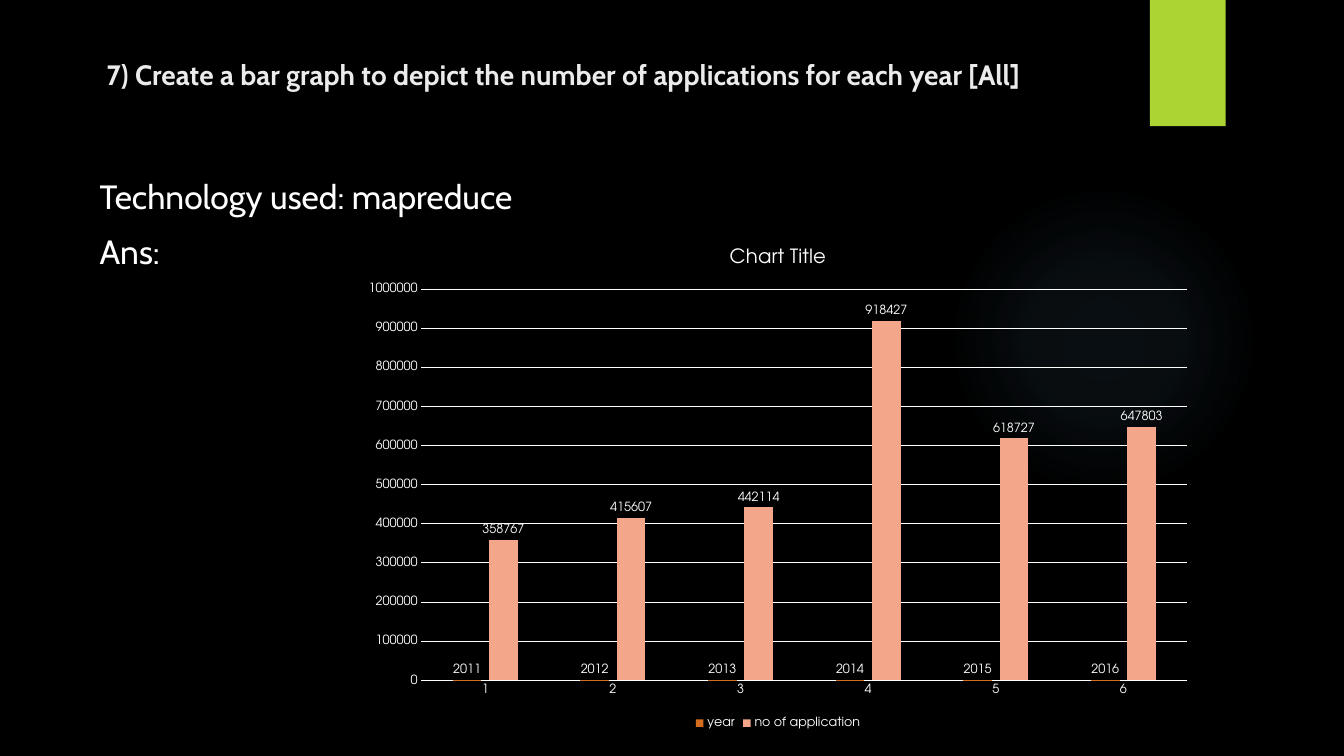
from lxml.etree import SubElement
from pptx import Presentation
from pptx.chart.data import CategoryChartData
from pptx.dml.color import RGBColor
from pptx.enum.chart import XL_CHART_TYPE, XL_LABEL_POSITION, XL_LEGEND_POSITION, XL_TICK_MARK
from pptx.enum.shapes import MSO_SHAPE
from pptx.oxml.ns import qn
from pptx.util import Cm, Pt

TEXT_FONT = "Cabin"
CHART_FONT = "TeX Gyre Adventor"
WHITE = "FFFFFF"
YEARS = range(2011, 2017)
APPLICATIONS = [358767, 415607, 442114, 918427, 618727, 647803]
SERIES_COLORS = ["D46C20", "F3A689"]


def color(hex_string):
    return RGBColor.from_string(hex_string)


def apply(target, values):
    for name, value in values.items():
        setattr(target, name, value)


def style_font(font, name, size, hex_string, bold=False):
    apply(font, {"name": name, "size": Pt(size), "bold": bold})
    font.color.rgb = color(hex_string)


def paint(fill, hex_string):
    fill.solid()
    fill.fore_color.rgb = color(hex_string)


def style_line(line, hex_string, width):
    paint(line.fill, hex_string)
    line.width = Pt(width)


def add_block(slide, preset, box, hex_string):
    shape = slide.shapes.add_shape(preset, *map(Cm, box))
    shape.shadow.inherit = False
    shape.line.fill.background()
    paint(shape.fill, hex_string)
    return shape


def add_glow(slide, box, hex_string, stops):
    shape = add_block(slide, MSO_SHAPE.OVAL, box, hex_string)
    shape.fill.gradient()
    gradient = shape.element.spPr.find(qn("a:gradFill"))
    for child in list(gradient):
        gradient.remove(child)
    stop_list = SubElement(gradient, qn("a:gsLst"))
    for position, opacity in stops:
        stop = SubElement(stop_list, qn("a:gs"), pos=str(position * 1000))
        stop_color = SubElement(stop, qn("a:srgbClr"), val=hex_string)
        SubElement(stop_color, qn("a:alpha"), val=str(opacity * 1000))
    circle = SubElement(gradient, qn("a:path"), path="circle")
    SubElement(circle, qn("a:fillToRect"), l="50000", t="50000", r="50000", b="50000")


def add_text(slide, box, lines, size, hex_string, bold=False, frame_format=None, paragraph_format=None):
    frame = slide.shapes.add_textbox(*map(Cm, box)).text_frame
    apply(frame, {"word_wrap": True, **(frame_format or {})})
    frame.text = "\n".join(lines)
    for paragraph in frame.paragraphs:
        apply(paragraph, paragraph_format or {})
        style_font(paragraph.runs[0].font, TEXT_FONT, size, hex_string, bold)


def style_axes(chart):
    for axis in (chart.category_axis, chart.value_axis):
        apply(axis, {"major_tick_mark": XL_TICK_MARK.NONE, "minor_tick_mark": XL_TICK_MARK.NONE})
        style_font(axis.tick_labels.font, CHART_FONT, 9, WHITE)
    style_line(chart.category_axis.format.line, WHITE, 0.75)
    apply(chart.value_axis, {"minimum_scale": 0, "maximum_scale": 1000000, "major_unit": 100000})
    chart.value_axis.format.line.fill.background()
    style_line(chart.value_axis.major_gridlines.format.line, WHITE, 0.75)


def style_series(series, hex_string):
    series.invert_if_negative = False
    paint(series.format.fill, hex_string)
    labels = series.data_labels
    apply(labels, {"show_value": True, "position": XL_LABEL_POSITION.OUTSIDE_END})
    style_font(labels.font, CHART_FONT, 9, WHITE)


def add_applications_chart(slide, box):
    data = CategoryChartData()
    data.categories = [str(number) for number in range(1, len(YEARS) + 1)]
    data.add_series("year", YEARS)
    data.add_series("no of application", APPLICATIONS)
    chart = slide.shapes.add_chart(XL_CHART_TYPE.COLUMN_CLUSTERED, *map(Cm, box), data).chart
    style_font(chart.font, CHART_FONT, 10, WHITE)
    chart.chart_title.text_frame.text = "Chart Title"
    title_run = chart.chart_title.text_frame.paragraphs[0].runs[0]
    style_font(title_run.font, CHART_FONT, 14, WHITE)
    chart.has_legend = True
    apply(chart.legend, {"position": XL_LEGEND_POSITION.BOTTOM, "include_in_layout": False})
    style_font(chart.legend.font, CHART_FONT, 9, WHITE)
    plot = chart.plots[0]
    apply(plot, {"gap_width": 219, "overlap": -27, "vary_by_categories": False})
    style_axes(chart)
    for series, hex_string in zip(plot.series, SERIES_COLORS):
        style_series(series, hex_string)


def main():
    presentation = Presentation()
    apply(presentation, {"slide_width": Cm(33.87), "slide_height": Cm(19.05)})
    slide = presentation.slides.add_slide(presentation.slide_layouts[6])
    paint(slide.background.fill, "000000")
    add_glow(slide, (23.9, 4.65, 7.82, 7.82), "7AC4F0", [(0, 7), (36, 6), (69, 0)])
    add_block(slide, MSO_SHAPE.RECTANGLE, (28.98, 0, 1.91, 3.18), "ACD433")
    add_text(slide, (1.8, 1.27, 26.14, 3.89),
             ["7) Create a bar graph to depict the number of applications for each year [All]"],
             20, "EBEBEB", True, {"margin_left": Cm(0.89)}, {"line_spacing": 1.07})
    add_text(slide, (2.26, 4.32, 29.21, 12.09), ["Technology used: mapreduce", "Ans:"],
             24, WHITE, paragraph_format={"space_before": Pt(10)})
    add_applications_chart(slide, (8.86, 5.72, 21.49, 12.75))
    presentation.save("out.pptx")


main()
